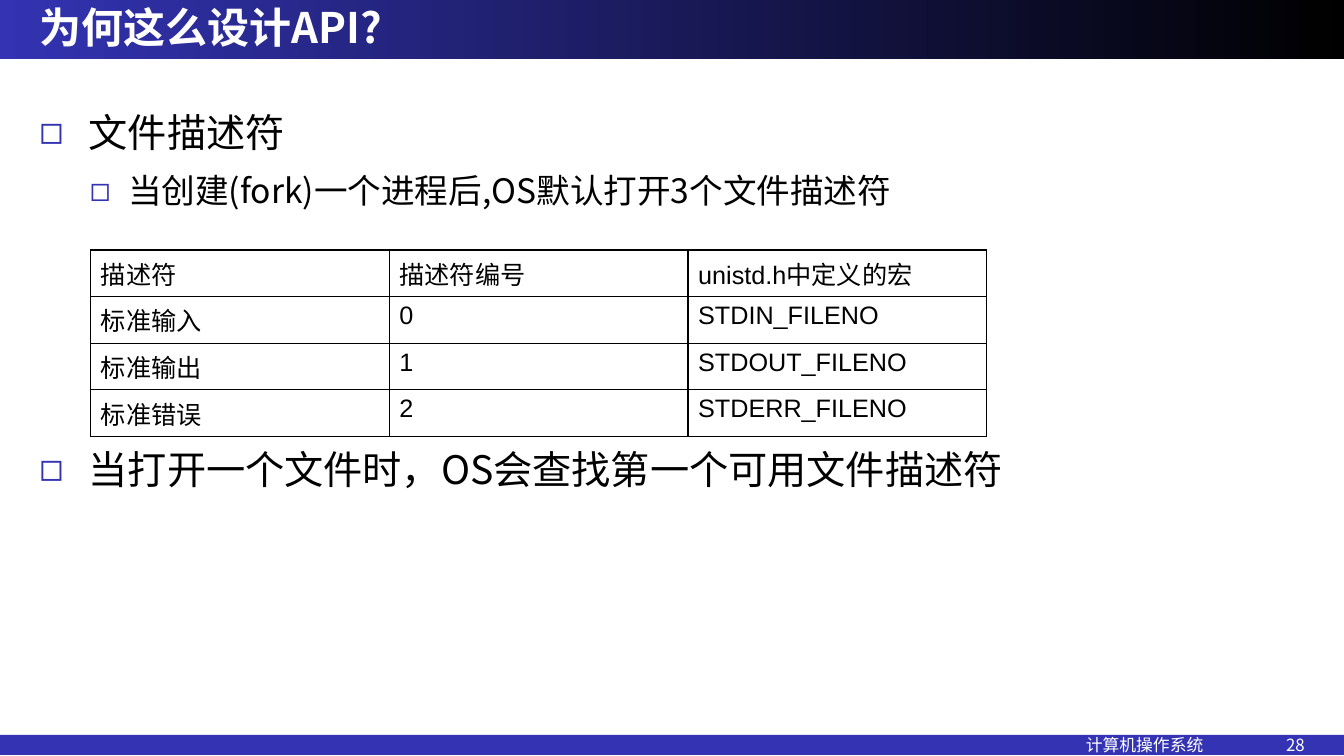
from dataclasses import dataclass

from lxml import etree
from pptx import Presentation
from pptx.dml.color import RGBColor
from pptx.enum.shapes import MSO_SHAPE
from pptx.enum.text import MSO_ANCHOR, MSO_AUTO_SIZE, PP_ALIGN
from pptx.oxml.ns import qn
from pptx.util import Inches, Pt

RECT = MSO_SHAPE.RECTANGLE
MIDDLE, TOP = MSO_ANCHOR.MIDDLE, MSO_ANCHOR.TOP
NO_FIT = MSO_AUTO_SIZE.NONE
LEFT = PP_ALIGN.LEFT


@dataclass(frozen=True)
class Theme:
    blue: str = "3333B3"
    black: str = "000000"
    white: str = "FFFFFF"
    sans: str = "Noto Sans CJK SC"
    latin: str = "Arial"
    title: int = 30
    levels: tuple = (28, 24)
    cell: int = 18
    footer: int = 12


T = Theme()
W, H = 13.33, 7.5
TITLE_H, FOOTER_TOP, FOOTER_H, MARGIN = 0.59, 7.29, 0.2, 0.39
INDENTS = ((0.49, 0.49), (0.88, 0.38))
SPACE_BEFORE = (10, 5)
TABLE_GAP = 151

BULLETS = [
    (0, "文件描述符", 0),
    (1, "当创建(fork)一个进程后,OS默认打开3个文件描述符", 0),
    (0, "当打开一个文件时，OS会查找第一个可用文件描述符", TABLE_GAP),
]
DESCRIPTORS = [
    ("描述符", "描述符编号", "unistd.h中定义的宏"),
    ("标准输入", "0", "STDIN_FILENO"),
    ("标准输出", "1", "STDOUT_FILENO"),
    ("标准错误", "2", "STDERR_FILENO"),
]


def rgb(value):
    return RGBColor.from_string(value)


def sub(parent, tag, **attrs):
    return etree.SubElement(parent, qn(tag), attrs)


def style(p, size, color, face=T.sans, bold=False):
    f = p.font
    f.size, f.bold, f.name = Pt(size), bold, face
    f.color.rgb = rgb(color)
    f._element.find(qn("a:latin")).addnext(
        etree.Element(qn("a:ea"), typeface=T.sans))


def place(s, left, top, width, height):
    s.left, s.top = Inches(left), Inches(top)
    s.width, s.height = Inches(width), Inches(height)


def frame(s, anchor, left, top, right, bottom):
    tf = s.text_frame
    tf.auto_size, tf.word_wrap, tf.vertical_anchor = NO_FIT, True, anchor
    tf.margin_left, tf.margin_top = Inches(left), Inches(top)
    tf.margin_right, tf.margin_bottom = Inches(right), Inches(bottom)
    return tf


def add_title(slide, text):
    s = slide.shapes.title
    place(s, 0, 0, W, TITLE_H)
    s.fill.gradient()
    s.fill.gradient_angle = 0
    for stop, color, pos in zip(s.fill.gradient_stops, (T.blue, T.black), (0, 1)):
        stop.color.rgb, stop.position = rgb(color), pos
    tf = frame(s, MIDDLE, MARGIN, 0.05, 0.1, 0.05)
    tf.text = text
    p = tf.paragraphs[0]
    p.alignment, p.line_spacing = LEFT, 0.9
    style(p, T.title, T.white, bold=True)


def set_bullet(p, level):
    indent, hanging = INDENTS[level]
    pPr = p._p.get_or_add_pPr()
    pPr.set("marL", str(Inches(indent)))
    pPr.set("indent", str(-Inches(hanging)))
    sub(sub(pPr, "a:buClr"), "a:srgbClr", val=T.blue)
    sub(pPr, "a:buChar", char="◻")


def add_bullets(slide, items):
    s = slide.placeholders[1]
    place(s, 0, TITLE_H, W, FOOTER_TOP - TITLE_H)
    tf = frame(s, TOP, *[MARGIN] * 4)
    for i, (level, text, gap) in enumerate(items):
        p = tf.add_paragraph() if i else tf.paragraphs[0]
        p.text, p.level, p.line_spacing = text, level, 1.2
        p.space_before = Pt(SPACE_BEFORE[level] + gap)
        set_bullet(p, level)
        style(p, T.levels[level], T.black)


def add_borders(cell):
    tcPr = cell._tc.get_or_add_tcPr()
    for i, side in enumerate(("a:lnL", "a:lnR", "a:lnT", "a:lnB")):
        ln = etree.Element(qn(side), w=str(Pt(1)))
        sub(sub(ln, "a:solidFill"), "a:srgbClr", val=T.black)
        tcPr.insert(i, ln)


def add_grid(slide, rows, left, top, width, height):
    s = slide.shapes.add_table(len(rows), len(rows[0]), Inches(left),
                               Inches(top), Inches(width), Inches(height))
    table = s.table
    table.first_row = table.horz_banding = False
    for r, row in enumerate(rows):
        for c, text in enumerate(row):
            cell = table.cell(r, c)
            cell.text = text
            cell.fill.background()
            add_borders(cell)
            style(cell.text_frame.paragraphs[0], T.cell, T.black, T.latin)


def add_footer(slide, course, number):
    s = slide.shapes.add_shape(RECT, 0, 0, 0, 0)
    place(s, 0, FOOTER_TOP, W, FOOTER_H)
    s.shadow.inherit = False
    s.fill.solid()
    s.fill.fore_color.rgb = rgb(T.blue)
    s.line.fill.background()
    start = 10.77
    tf = frame(s, MIDDLE, start, 0.05, 0.05, 0.05)
    p = tf.paragraphs[0]
    p.text, p.alignment = f"{course}\t{number}", LEFT
    tabs = sub(p._p.get_or_add_pPr(), "a:tabLst")
    sub(tabs, "a:tab", pos=str(Inches(W - MARGIN - start)), algn="r")
    style(p, T.footer, T.white)


def main():
    prs = Presentation()
    prs.slide_width, prs.slide_height = Inches(W), Inches(H)
    slide = prs.slides.add_slide(prs.slide_layouts[1])
    add_title(slide, "为何这么设计API?")
    add_bullets(slide, BULLETS)
    add_footer(slide, "计算机操作系统", 28)
    add_grid(slide, DESCRIPTORS, 0.9, 2.48, W * 2 / 3, 1.62)
    prs.save("out.pptx")


if __name__ == "__main__":
    main()
